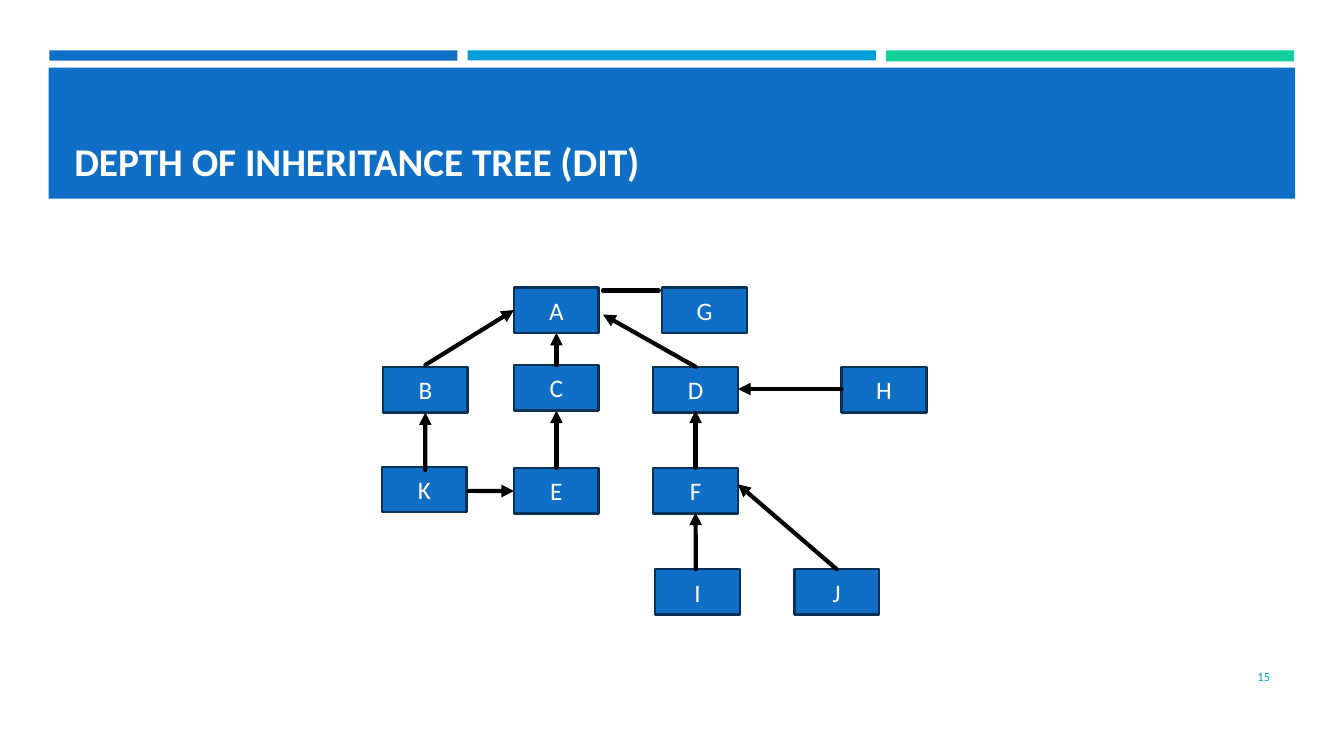
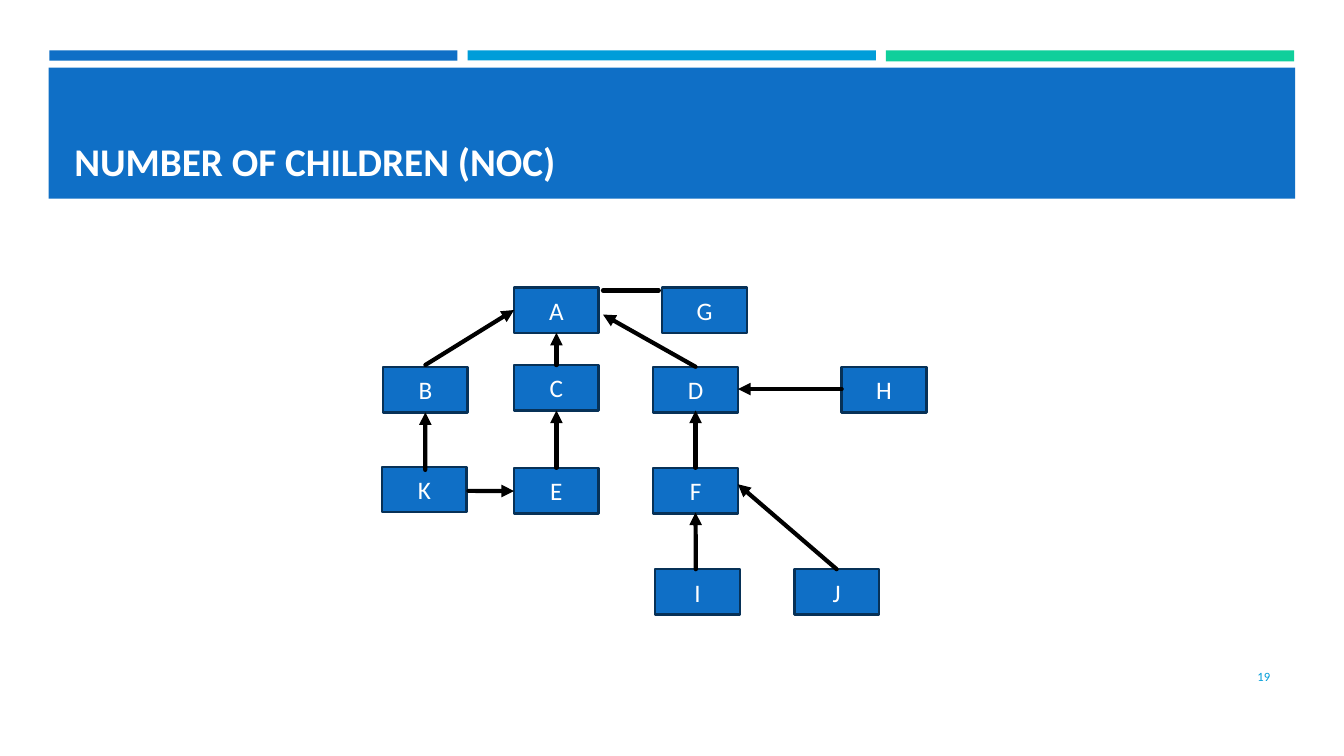
import pptx
import pptx.util
import pptx.dml.color
import pptx.enum.shapes
import pptx.enum.text
import pptx.oxml.ns
import lxml.etree

Pt = pptx.util.Pt
RGB = pptx.dml.color.RGBColor
ALIGN = pptx.enum.text.PP_ALIGN
ANCHOR = pptx.enum.text.MSO_ANCHOR
RECT = pptx.enum.shapes.MSO_SHAPE.RECTANGLE
STRAIGHT = pptx.enum.shapes.MSO_CONNECTOR.STRAIGHT
qn = pptx.oxml.ns.qn

BLUE = RGB(0x0F, 0x6F, 0xC6)
CYAN = RGB(0x00, 0x9D, 0xD9)
GREEN = RGB(0x10, 0xCF, 0x9B)
NAVY = RGB(0x07, 0x31, 0x57)
WHITE = RGB(0xFF, 0xFF, 0xFF)
BLACK = RGB(0x00, 0x00, 0x00)

# Content: title and page number of each slide
SLIDES = [
    ("DEPTH OF INHERITANCE TREE (DIT)", "15"),
    ("NUMBER OF CHILDREN (NOC)", "19"),
]

# Class tree: left and top of each box, all of one size
NODE_W, NODE_H = 60.5, 32.5
NODES = {
    "A": (367.2, 205.2), "G": (473, 205.2),
    "B": (273.6, 262), "C": (367.2, 260.8), "D": (466.6, 262), "H": (601.2, 262),
    "K": (272.9, 333.4), "E": (367.2, 334.2), "F": (466.6, 334.2),
    "I": (468, 406.6), "J": (567.4, 406.6),
}

# Links: child, parent, arrowhead; ends are fractions of the box width and height
LINKS = [
    (("C", 0.5, 0), ("A", 0.5, 1), True),
    (("B", 0.5, -0.04), ("A", 0, 0.5), True),
    (("D", 0.5, 0), ("A", 1.05, 0.6), True),
    (("G", -0.04, 0.07), ("A", 1.05, 0.07), False),
    (("E", 0.5, 0), ("C", 0.5, 1), True),
    (("F", 0.5, 0), ("D", 0.5, 0.96), True),
    (("H", 0, 0.49), ("D", 1, 0.49), True),
    (("I", 0.48, 0), ("F", 0.5, 0.98), True),
    (("J", 0.5, 0), ("F", 1, 0.36), True),
    (("K", 0.51, 0.07), ("B", 0.5, 1), True),
    (("K", 1.02, 0.53), ("E", 0, 0.51), True),
]

# Shared header: three strips with equal gaps above the title band
STRIP_LEFT, STRIP_TOP, STRIP_W, STRIP_GAP = 35.2, 36, 291.6, 7.2
STRIPS = [(BLUE, 7.4), (CYAN, 7.2), (GREEN, 7.8)]
BAND = (34.8, 48.4, 890.4, 93.6)
TITLE_BOX = (46, 55.4, 868.4, 80)
PAGE_BOX = (831.6, 468.6, 82.8, 28.8)

TITLE_FONT = {"name": "Calibri", "size": Pt(28), "bold": True}
NODE_FONT = {"name": "Calibri", "size": Pt(18)}
PAGE_FONT = {"name": "Calibri", "size": Pt(9)}


def write(sp, text, font, color, align, anchor):
    tf = sp.text_frame
    tf.word_wrap = True
    tf.vertical_anchor = anchor
    p = tf.paragraphs[0]
    p.alignment = align
    r = p.add_run()
    r.text = text
    for key, value in font.items():
        setattr(r.font, key, value)
    r.font.color.rgb = color


def add_rect(s, box, fill, line=None):
    sp = s.shapes.add_shape(RECT, *map(Pt, box))
    sp.shadow.inherit = False
    sp.fill.solid()
    sp.fill.fore_color.rgb = fill
    if line is None:
        sp.line.fill.background()
    else:
        sp.line.color.rgb = line
        sp.line.width = Pt(1.75)
    return sp


def add_label(s, box, *style):
    write(s.shapes.add_textbox(*map(Pt, box)), *style)


def end_point(name, fx, fy):
    left, top = NODES[name]
    return Pt(left + fx * NODE_W), Pt(top + fy * NODE_H)


def add_link(s, child, parent, arrow):
    cx = s.shapes.add_connector(STRAIGHT, *end_point(*child), *end_point(*parent))
    cx.line.color.rgb = BLACK
    cx.line.width = Pt(3)
    ln = cx.line._get_or_add_ln()
    ln.set("cap", "rnd")
    if arrow:
        lxml.etree.SubElement(ln, qn("a:tailEnd"), type="triangle")
    lxml.etree.SubElement(cx._element.spPr, qn("a:effectLst"))


def add_frame(s, title, page):
    for i, (color, height) in enumerate(STRIPS):
        left = STRIP_LEFT + i * (STRIP_W + STRIP_GAP)
        add_rect(s, (left, STRIP_TOP, STRIP_W, height), color)
    add_rect(s, BAND, BLUE)
    add_label(s, TITLE_BOX, title, TITLE_FONT, WHITE, ALIGN.LEFT, ANCHOR.BOTTOM)
    add_label(s, PAGE_BOX, page, PAGE_FONT, CYAN, ALIGN.RIGHT, ANCHOR.MIDDLE)


def add_tree(s):
    for name, (left, top) in NODES.items():
        sp = add_rect(s, (left, top, NODE_W, NODE_H), BLUE, NAVY)
        write(sp, name, NODE_FONT, WHITE, ALIGN.CENTER, ANCHOR.MIDDLE)
    for link in LINKS:
        add_link(s, *link)


def main():
    prs = pptx.Presentation()
    prs.slide_width, prs.slide_height = Pt(960), Pt(540)
    for title, page in SLIDES:
        s = prs.slides.add_slide(prs.slide_layouts[6])
        add_frame(s, title, page)
        add_tree(s)
    prs.save("out.pptx")


if __name__ == "__main__":
    main()
